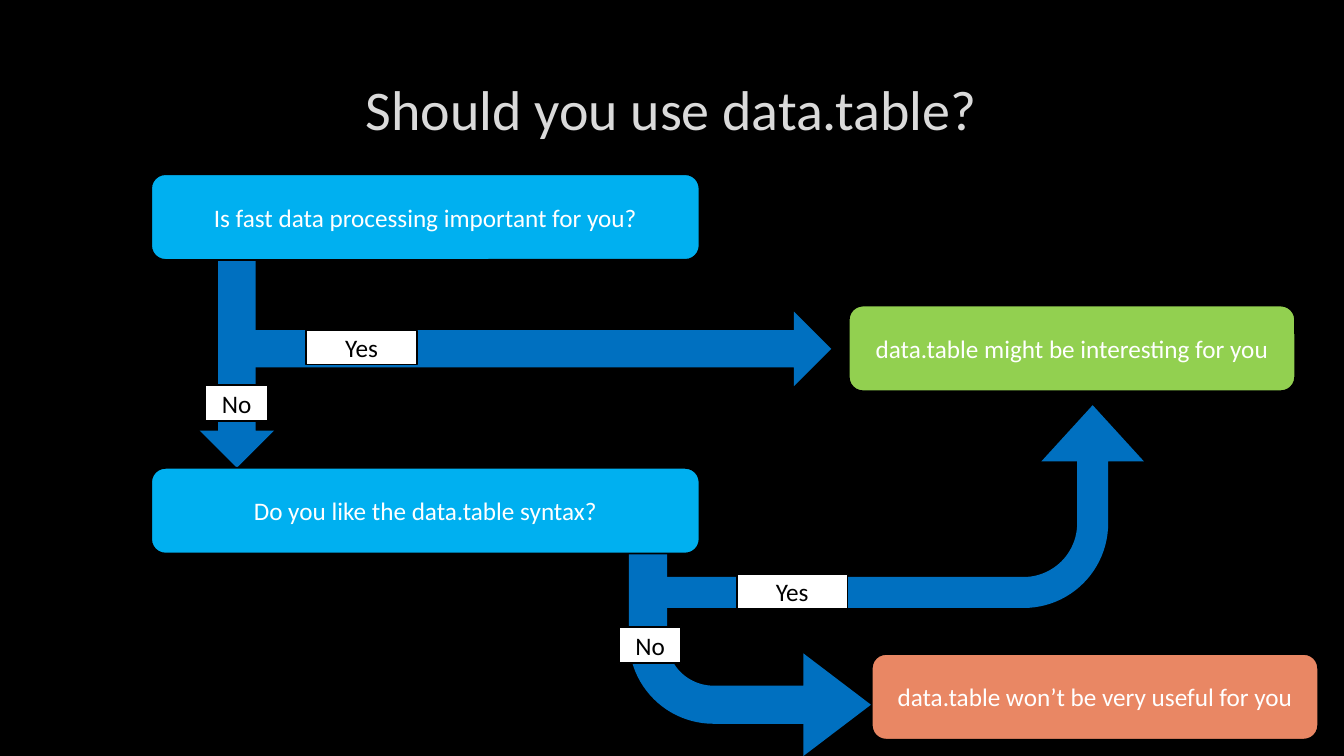
import pptx
import pptx.dml.color
import pptx.enum.shapes
import pptx.enum.text
import pptx.util

Cm = pptx.util.Cm
SHAPE = pptx.enum.shapes.MSO_SHAPE
COLORS = {
    "background": "000000",
    "title": "DADADA",
    "arrow": "0070C0",
    "question": "00B0F0",
    "good": "92D050",
    "bad": "E98764",
    "white": "FFFFFF",
    "black": "000000",
}
FRAME_FORMAT = {"word_wrap": True, "vertical_anchor": pptx.enum.text.MSO_ANCHOR.MIDDLE}


def rgb(name):
    return pptx.dml.color.RGBColor.from_string(COLORS[name])


def write(shape, text, size, color):
    """Put one centred line of text into the shape."""
    for attribute, value in FRAME_FORMAT.items():
        setattr(shape.text_frame, attribute, value)
    paragraph = shape.text_frame.paragraphs[0]
    paragraph.alignment = pptx.enum.text.PP_ALIGN.CENTER
    run = paragraph.add_run()
    run.text = text
    font_format = {"name": "Calibri", "size": pptx.util.Pt(size)}
    for attribute, value in font_format.items():
        setattr(run.font, attribute, value)
    run.font.color.rgb = rgb(color)


deck = pptx.Presentation()
deck.slide_width = Cm(33.87)
deck.slide_height = Cm(19.05)
slide = deck.slides.add_slide(deck.slide_layouts[6])
slide.background.fill.solid()
slide.background.fill.fore_color.rgb = rgb("background")

# Arrows: preset, left, top, width, height, rotation, flipped, adjustments
arrows = [
    (SHAPE.BENT_ARROW, 15.85, 13.94, 6.1, 5.11, 180, True, (0.188, 0.253, 0.333, 0.417)),
    (SHAPE.DOWN_ARROW, 5.03, 5.69, 1.88, 6.1, 0, False, ()),
    (SHAPE.DOWN_ARROW, 12.62, 1.4, 1.88, 14.78, 270, False, ()),
    (SHAPE.BENT_ARROW, 20.19, 6.68, 5.11, 12.17, 90, True, (0.153, 0.253, 0.277, 0.417)),
]
for preset, left, top, width, height, rotation, flipped, adjustments in arrows:
    arrow = slide.shapes.add_shape(preset, Cm(left), Cm(top), Cm(width), Cm(height))
    arrow.shadow.inherit = False
    arrow.fill.solid()
    arrow.fill.fore_color.rgb = rgb("arrow")
    arrow.line.fill.background()
    arrow.rotation = rotation
    if flipped:
        arrow._element.spPr.xfrm.set("flipH", "1")
    for index, adjustment in enumerate(adjustments):
        arrow.adjustments[index] = adjustment

title = slide.shapes.add_textbox(Cm(2.54), Cm(1.37), Cm(28.75), Cm(2.69))
write(title, "Should you use data.table?", 40, "title")

# Boxes and answers: preset, left, top, width, height, fill, text colour, text
BOX, ANSWER = SHAPE.ROUNDED_RECTANGLE, SHAPE.RECTANGLE
steps = [
    (BOX, 3.81, 4.39, 13.82, 2.16, "question", "white", "Is fast data processing important for you?"),
    (BOX, 3.81, 11.79, 13.82, 2.16, "question", "white", "Do you like the data.table syntax?"),
    (BOX, 21.39, 7.7, 11.25, 2.16, "good", "white", "data.table might be interesting for you"),
    (BOX, 21.97, 16.48, 11.25, 2.16, "bad", "white", "data.table won’t be very useful for you"),
    (ANSWER, 7.72, 8.33, 2.79, 0.86, "white", "black", "Yes"),
    (ANSWER, 5.18, 9.7, 1.57, 0.91, "white", "black", "No"),
    (ANSWER, 18.57, 14.48, 2.79, 0.86, "white", "black", "Yes"),
    (ANSWER, 15.6, 15.8, 1.57, 0.91, "white", "black", "No"),
]
for preset, left, top, width, height, fill, text_color, text in steps:
    step = slide.shapes.add_shape(preset, Cm(left), Cm(top), Cm(width), Cm(height))
    step.shadow.inherit = False
    step.fill.solid()
    step.fill.fore_color.rgb = rgb(fill)
    step.line.color.rgb = rgb("black")
    step.line.width = pptx.util.Pt(1.25)
    write(step, text, 18, text_color)

deck.save("out.pptx")
